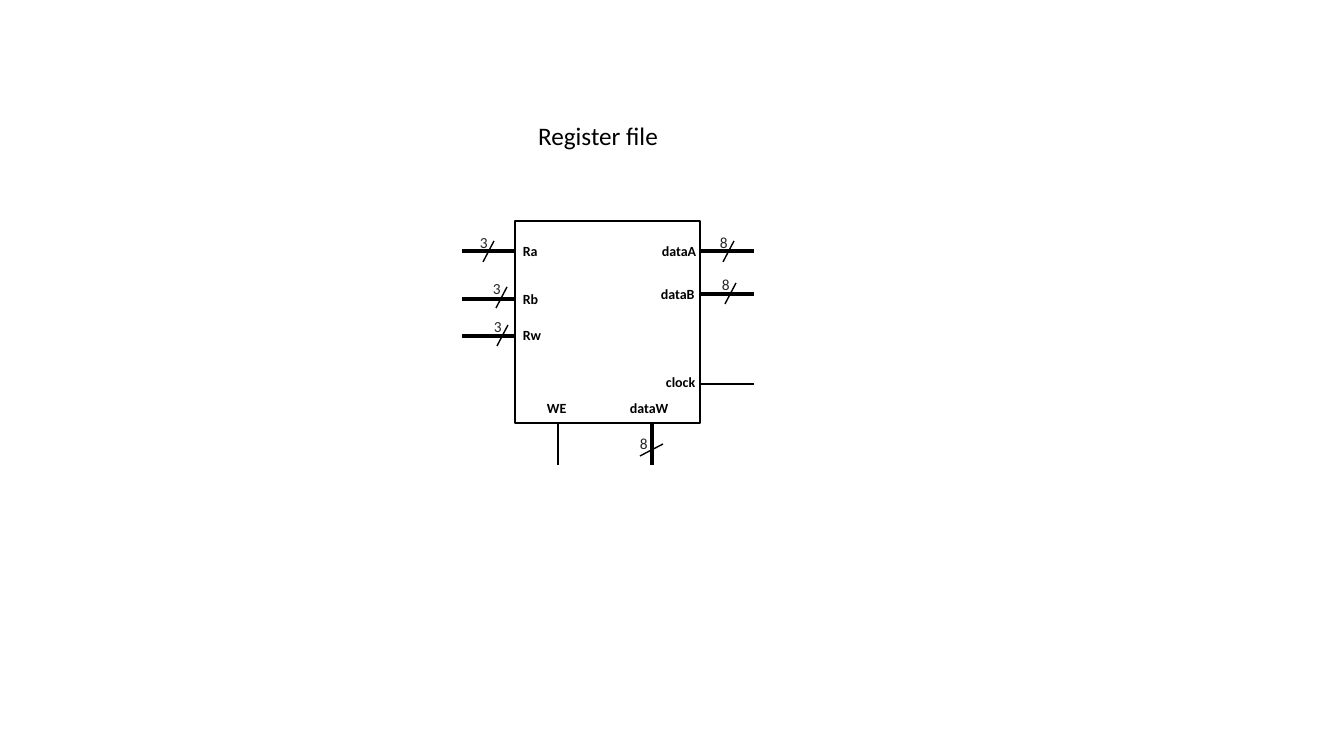
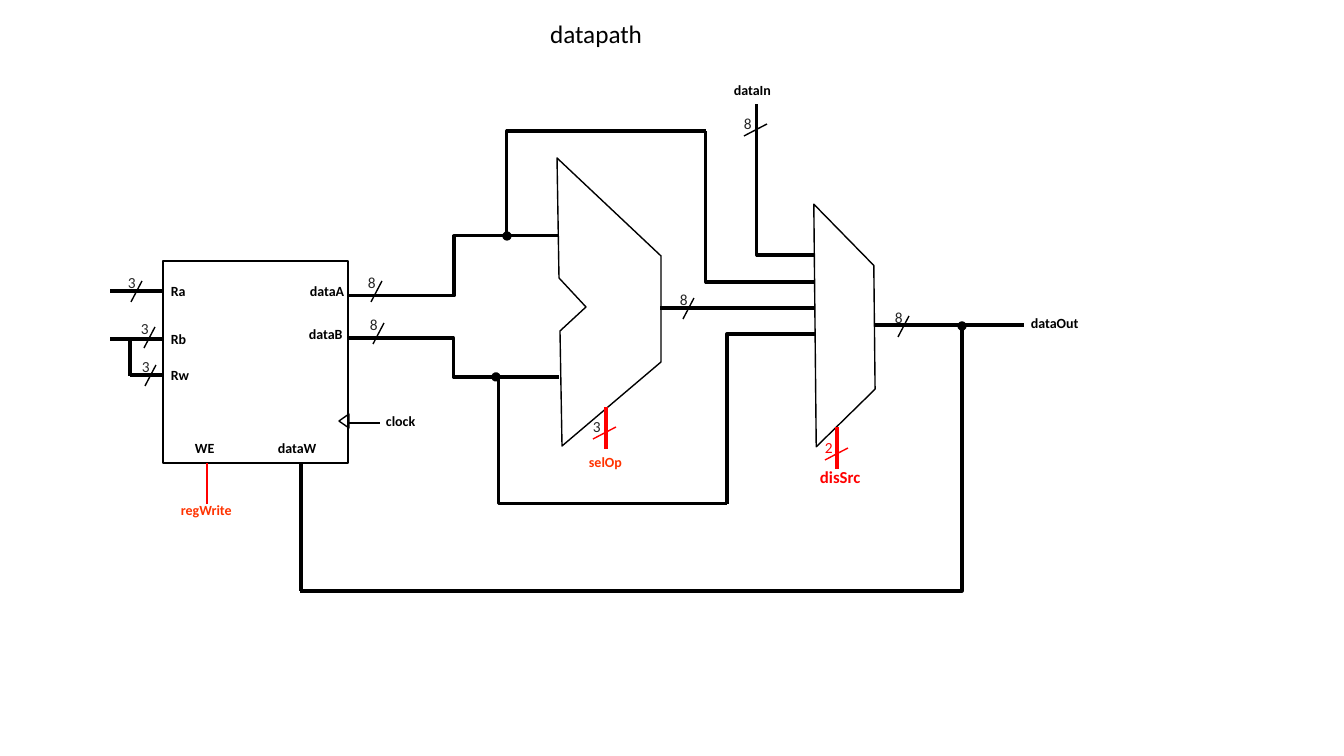
"""Builds two slides: a register file and the datapath around it."""
from lxml import etree
from pptx import Presentation
from pptx import util as u
from pptx.dml.color import RGBColor
from pptx.enum import shapes, text
from pptx.oxml.ns import qn

SCALE = 914400 / 100.8
FONT = "Calibri"
BLACK, DIGIT, RED, ORANGE = "000000", "262626", "FF0000", "FF3300"
THIN, MEDIUM, BUS = 1, 1.5, 2.25
REGISTER_WIDTH, REGISTER_HEIGHT = 185, 202


def px(length):
    """Turn pixels into EMU."""
    return u.Emu(round(length * SCALE))


def color(hex_string):
    """Turn a hex string into a colour."""
    return RGBColor.from_string(hex_string)


def write(frame, words, size, ink, bold=False):
    """Put one formatted run into a text frame."""
    frame.word_wrap = True
    frame.vertical_anchor = text.MSO_ANCHOR.TOP
    para = frame.paragraphs[0]
    para.alignment = text.PP_ALIGN.LEFT
    span = para.add_run()
    span.text = words
    span.font.name = FONT
    span.font.size = u.Pt(size)
    span.font.bold = bold
    span.font.color.rgb = color(ink)


def label(page, words, x, y, width=66, size=10, ink=BLACK, bold=True):
    """Add a signal name."""
    box = page.shapes.add_textbox(px(x), px(y), px(width), px(size * 1.7 + 10))
    write(box.text_frame, words, size, ink, bold)


def add_page(deck, title, x, y):
    """Add a slide with its title placed at x, y."""
    page = deck.slides.add_slide(deck.slide_layouts[5])
    holder = page.shapes.title
    holder.left, holder.top = px(x), px(y)
    holder.width, holder.height = px(213), px(40)
    write(holder.text_frame, title, 18, BLACK)
    return page


def wire(page, start, end, weight=BUS, ink=BLACK, bend=None, dot=False):
    """Draw a straight wire, or one bent at a share of its width."""
    kind = shapes.MSO_CONNECTOR.STRAIGHT if bend is None else shapes.MSO_CONNECTOR.ELBOW
    line = page.shapes.add_connector(kind, px(start[0]), px(start[1]), px(end[0]), px(end[1]))
    line.line.color.rgb = color(ink)
    line.line.width = u.Pt(weight)
    properties = line._element.spPr
    if bend is not None:
        guides = properties.find(qn("a:prstGeom")).get_or_add_avLst()
        etree.SubElement(guides, qn("a:gd"), name="adj1", fmla=f"val {round(bend * 100000)}")
    if dot:
        etree.SubElement(properties.find(qn("a:ln")), qn("a:tailEnd"), type="oval")
    etree.SubElement(properties, qn("a:effectLst"))


def bus_width(page, digit, x, y, flat=False, ink=BLACK, digit_ink=DIGIT):
    """Slash a bus from its upper right point x, y and note its width."""
    run, drop, left, up = (23, 12, 33, 15) if flat else (11, 21, 24, 13)
    wire(page, (x, y), (x - run, y + drop), THIN, ink)
    label(page, digit, x - left, y - up, 23, 11, digit_ink, False)


def outline(shape):
    """Give a shape a thin black outline and no fill."""
    shape.shadow.inherit = False
    shape.fill.background()
    shape.line.color.rgb = color(BLACK)
    shape.line.width = u.Pt(THIN)


def preset(page, kind, x, y, width, height, turn=0):
    """Add an outlined preset shape."""
    shape = page.shapes.add_shape(kind, px(x), px(y), px(width), px(height))
    shape.rotation = turn
    outline(shape)
    return shape


def polygon(page, points):
    """Add an outlined closed polygon."""
    builder = page.shapes.build_freeform(*points[0], scale=SCALE)
    builder.add_line_segments(points[1:], close=True)
    outline(builder.convert_to_shape())


def register_file(page, x, y):
    """Add the register block with port names, read stubs and bus widths."""
    preset(page, shapes.MSO_SHAPE.RECTANGLE, x, y, REGISTER_WIDTH, REGISTER_HEIGHT)
    for name, dx, dy in (("Ra", -2, 17), ("Rb", -2, 65), ("Rw", -2, 101), ("WE", 22, 174),
                         ("dataW", 105, 174), ("dataA", 137, 17), ("dataB", 136, 60)):
        label(page, name, x + dx, y + dy)
    for dy in (30, 78):
        wire(page, (x, y + dy), (x - 53, y + dy))
    for digit, dx, dy in (("3", -21, 20), ("3", -8, 66), ("3", -7, 104),
                          ("8", 219, 20), ("8", 221, 62)):
        bus_width(page, digit, x + dx, y + dy)


def register_page(deck):
    """Build the register file slide."""
    page = add_page(deck, "Register file", 528, 115)
    left, top = 515, 221
    right, bottom = left + REGISTER_WIDTH, top + REGISTER_HEIGHT
    register_file(page, left, top)
    wire(page, (left, 336), (left - 53, 336))
    for y, weight in ((251, BUS), (294, BUS), (384, MEDIUM)):
        wire(page, (right + 54, y), (right, y), weight)
    for x, weight in ((652, BUS), (558, MEDIUM)):
        wire(page, (x, bottom + 42), (x, bottom), weight)
    label(page, "clock", 656, 369)
    bus_width(page, "8", 663, 444, flat=True)


def datapath_page(deck):
    """Build the datapath slide."""
    page = add_page(deck, "datapath", 540, 13)
    register_file(page, 163, 261)
    polygon(page, [(557, 158), (661, 256), (661, 362), (562, 446),
                   (560, 331), (586, 307), (559, 278)])
    selector = preset(page, shapes.MSO_SHAPE.DIAGONAL_STRIPE, 731, 238, 168, 175, 135.6)
    selector.adjustments[0] = 0.51
    preset(page, shapes.MSO_SHAPE.ISOSCELES_TRIANGLE, 337, 416, 14, 10, 270)

    for start, end in (((163, 375), (130, 375)), ((130, 376), (130, 340)),
                       ((301, 591), (301, 463)), ((815, 308), (660, 308)),
                       ((815, 282), (761, 282)), ((1024, 325), (875, 325))):
        wire(page, start, end)
    wire(page, (380, 423), (349, 423), MEDIUM)
    wire(page, (207, 504), (207, 463), MEDIUM, RED)
    for x, y in ((606, 407), (837, 427)):
        wire(page, (x, y + 42), (x, y), ink=RED)

    for start, end, bend, dot in (
            ((349, 296), (559, 236), 0.5, False), ((348, 338), (559, 377), 0.5, False),
            ((706, 131), (507, 236), 1, True), ((727, 504), (496, 377), 0.99, True),
            ((761, 282), (706, 131), 1, False), ((815, 334), (727, 504), 1, False),
            ((815, 255), (757, 104), 1, False), ((300, 591), (962, 326), 1, True)):
        wire(page, start, end, bend=bend, dot=dot)

    bus_width(page, "8", 694, 298)
    bus_width(page, "8", 909, 316)
    bus_width(page, "8", 767, 124, flat=True)
    bus_width(page, "3", 616, 427, flat=True, ink=RED)
    bus_width(page, "2", 848, 448, flat=True, ink=RED, digit_ink=RED)

    label(page, "clock", 376, 408)
    label(page, "dataIn", 724, 77)
    label(page, "dataOut", 1021, 310, 84)
    label(page, "selOp", 579, 449, ink=ORANGE)
    label(page, "regWrite", 171, 497, 78, ink=ORANGE)
    label(page, "disSrc", 810, 462, size=12, ink=RED)


def main():
    """Build and save the deck."""
    deck = Presentation()
    deck.slide_width, deck.slide_height = px(1344), px(756)
    register_page(deck)
    datapath_page(deck)
    deck.save("out.pptx")


main()
